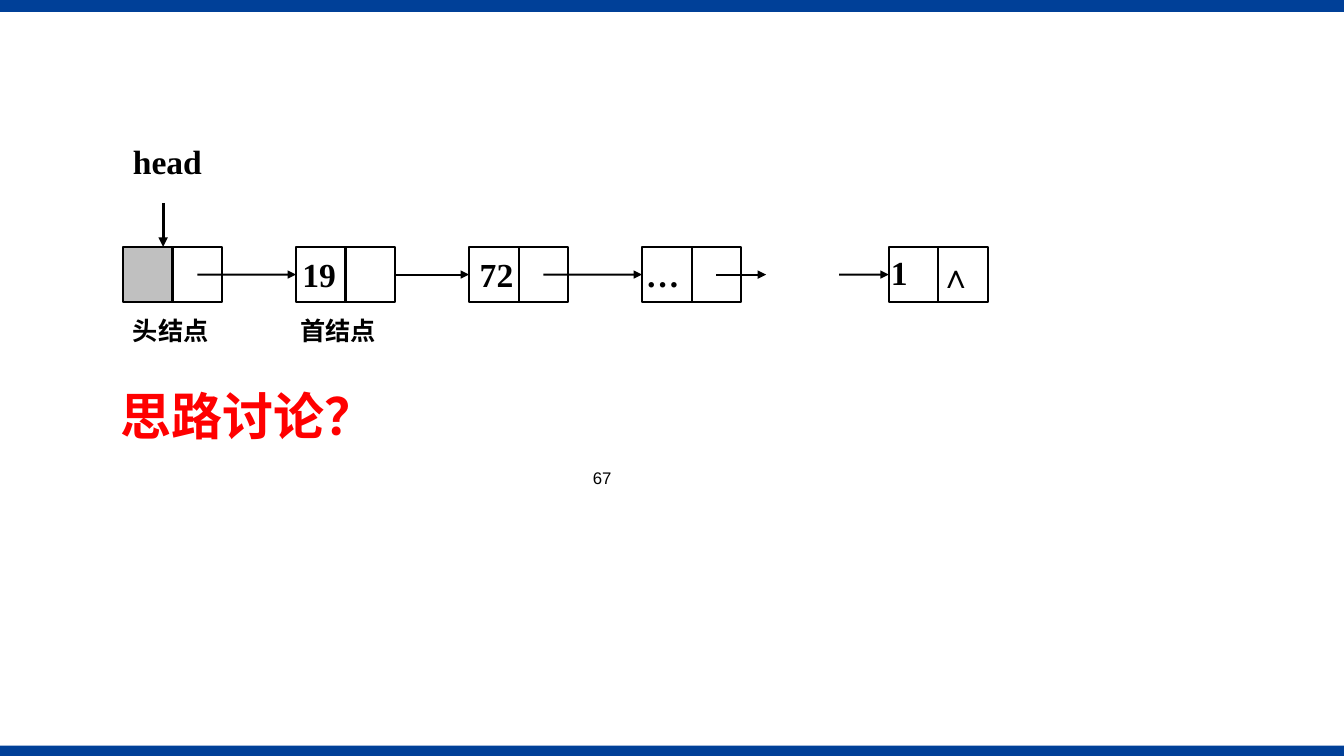
import pptx
import pptx.util
import pptx.dml.color
import pptx.enum.shapes
import pptx.enum.text
import pptx.oxml
import pptx.oxml.ns
from lxml import etree

Cm, Pt = pptx.util.Cm, pptx.util.Pt
RGB = pptx.dml.color.RGBColor.from_string
ALIGN = pptx.enum.text.PP_ALIGN
ANCHOR = pptx.enum.text.MSO_ANCHOR
RECT = pptx.enum.shapes.MSO_SHAPE.RECTANGLE
STRAIGHT = pptx.enum.shapes.MSO_CONNECTOR.STRAIGHT
qn = pptx.oxml.ns.qn

COLORS = {"band": "004098", "line": "000000", "text": "000000",
          "head_cell": "C0C0C0", "question": "FF0000"}
SERIF, CJK = "Times New Roman", "Noto Sans CJK SC"

prs = pptx.Presentation()
prs.slide_width, prs.slide_height = Cm(33.87), Cm(19.05)
s = prs.slides.add_slide(prs.slide_layouts[6])


def add_text(text, x, y, w, h, size=24, font=SERIF, color="text", bold=True,
             align=ALIGN.JUSTIFY, anchor=ANCHOR.TOP, inset=True, spacing=None, east=None):
    tf = s.shapes.add_textbox(Cm(x), Cm(y), Cm(w), Cm(h)).text_frame
    tf.word_wrap, tf.vertical_anchor = True, anchor
    if not inset:
        for side in ("left", "top", "right", "bottom"):
            setattr(tf, "margin_" + side, 0)
    p = tf.paragraphs[0]
    p.alignment, p.line_spacing = align, spacing
    r = p.add_run()
    r.text = text
    for name, value in {"size": Pt(size), "name": font, "bold": bold}.items():
        setattr(r.font, name, value)
    r.font.color.rgb = RGB(COLORS[color])
    if east:
        etree.SubElement(r.font._element, qn("a:ea")).set("typeface", east)


def add_arrow(x1, y1, x2, y2, width=1.5):
    arrow = s.shapes.add_connector(STRAIGHT, Cm(x1), Cm(y1), Cm(x2), Cm(y2))
    arrow.line.color.rgb = RGB(COLORS["line"])
    arrow.line.width = Pt(width)
    etree.SubElement(arrow.line._get_or_add_ln(), qn("a:tailEnd")).set("type", "triangle")
    etree.SubElement(arrow._element.spPr, qn("a:effectLst"))
    return arrow


# Bands at the top and bottom edges
for y, h in ((0, 0.3), (18.79, 0.26)):
    band = s.shapes.add_shape(RECT, 0, Cm(y), prs.slide_width, Cm(h))
    band.shadow.inherit = False
    band.fill.solid()
    band.fill.fore_color.rgb = RGB(COLORS["band"])
    band.line.fill.background()

# Nodes: a data cell and a pointer cell each
CELL_W, CELL_H, ROW_Y = 1.25, 1.4, 6.22
MID_Y = ROW_Y + CELL_H / 2
FIRST_X, PITCH = 3.1, 4.36
node_xs = [FIRST_X + i * PITCH for i in range(4)] + [22.4]
nodes = []
for i, x in enumerate(node_xs):
    cells = []
    for j in range(2):
        cell = s.shapes.add_shape(RECT, Cm(x + j * CELL_W), Cm(ROW_Y), Cm(CELL_W), Cm(CELL_H))
        cell.shadow.inherit = False
        cell.fill.background()
        cell.line.color.rgb = RGB(COLORS["line"])
        cell.line.width = Pt(1.5)
        cells.append(cell)
    nodes.append(cells)
head_cell = nodes[0][0]
head_cell.fill.solid()
head_cell.fill.fore_color.rgb = RGB(COLORS["head_cell"])

# Links into each node; the chain breaks off before the last one
link_starts = [node_xs[0] + 1.5 * CELL_W, node_xs[1] + 2 * CELL_W,
               node_xs[2] + 1.5 * CELL_W, node_xs[4] - CELL_W]
for i, start_x in enumerate(link_starts, 1):
    link = add_arrow(start_x, MID_Y, node_xs[i], MID_Y)
    if i == 2:
        link.begin_connect(nodes[1][1], 3)
    link.end_connect(nodes[i][0], 1)
open_x = node_xs[3] + 1.5 * CELL_W
add_arrow(open_x, MID_Y, open_x + CELL_W, MID_Y)

# Node values
for text, x, y in (("19", 7.62, 6.4), ("72", 12.09, 6.4), ("1", 22.45, 6.35),
                   ("…", 16.28, 6.4), ("∧", 23.67, 6.43)):
    add_text(text, x, y, 0.94, 1.19, inset=False)

# Head pointer and node labels
add_text("head", FIRST_X, 3.43, 2.5, 1.68)
add_arrow(4.11, 5.11, 4.11, ROW_Y, 2.25)
for text, x in (("头结点", FIRST_X), ("首结点", 7.32)):
    add_text(text, x, 7.82, 2.59, 1.02, size=18, align=ALIGN.LEFT,
             anchor=ANCHOR.MIDDLE, east=CJK)

# Question and page number
add_text("思路讨论？", 2.79, 9.75, 29.29, 1.9, size=36.4, font=CJK, color="question",
         align=ALIGN.LEFT, spacing=0.9, east=CJK)
add_text("67", 11.15, 11.66, 8.05, 1.27, size=12, font="Arial", bold=False,
         align=ALIGN.CENTER)

prs.save("out.pptx")
